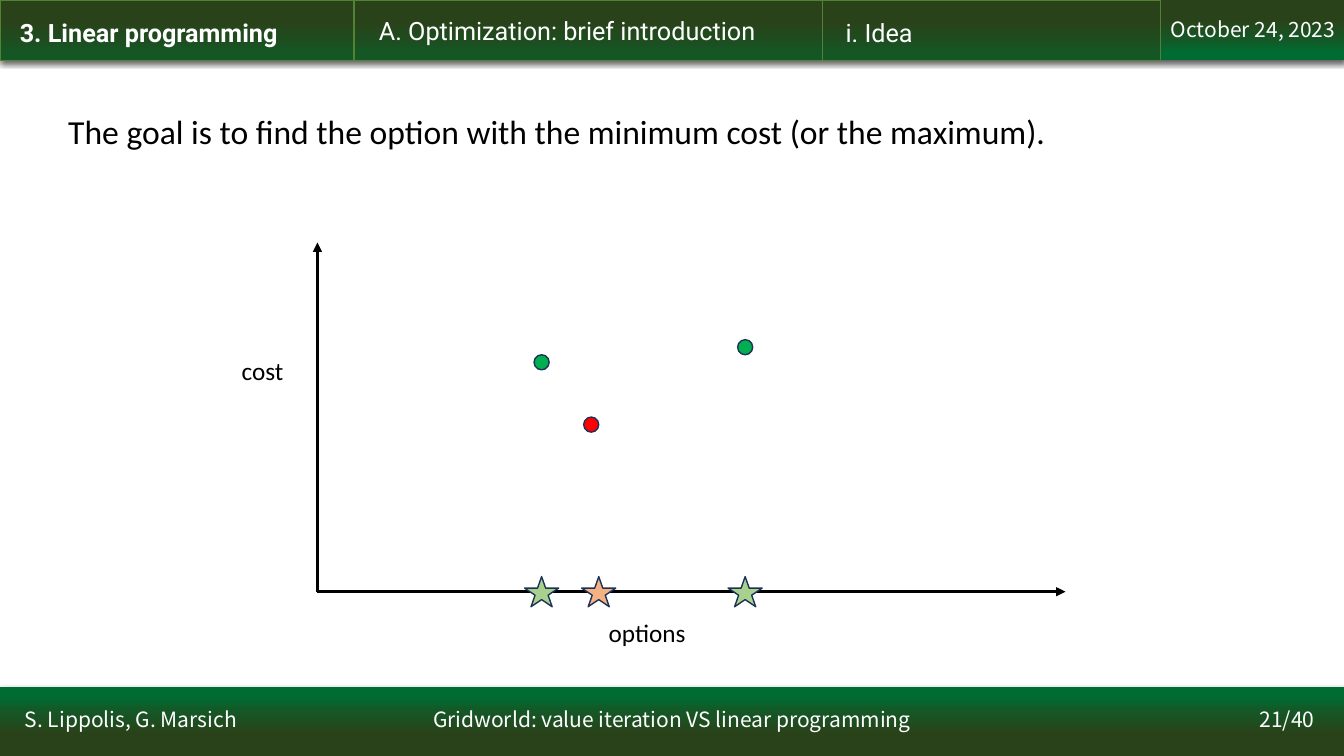
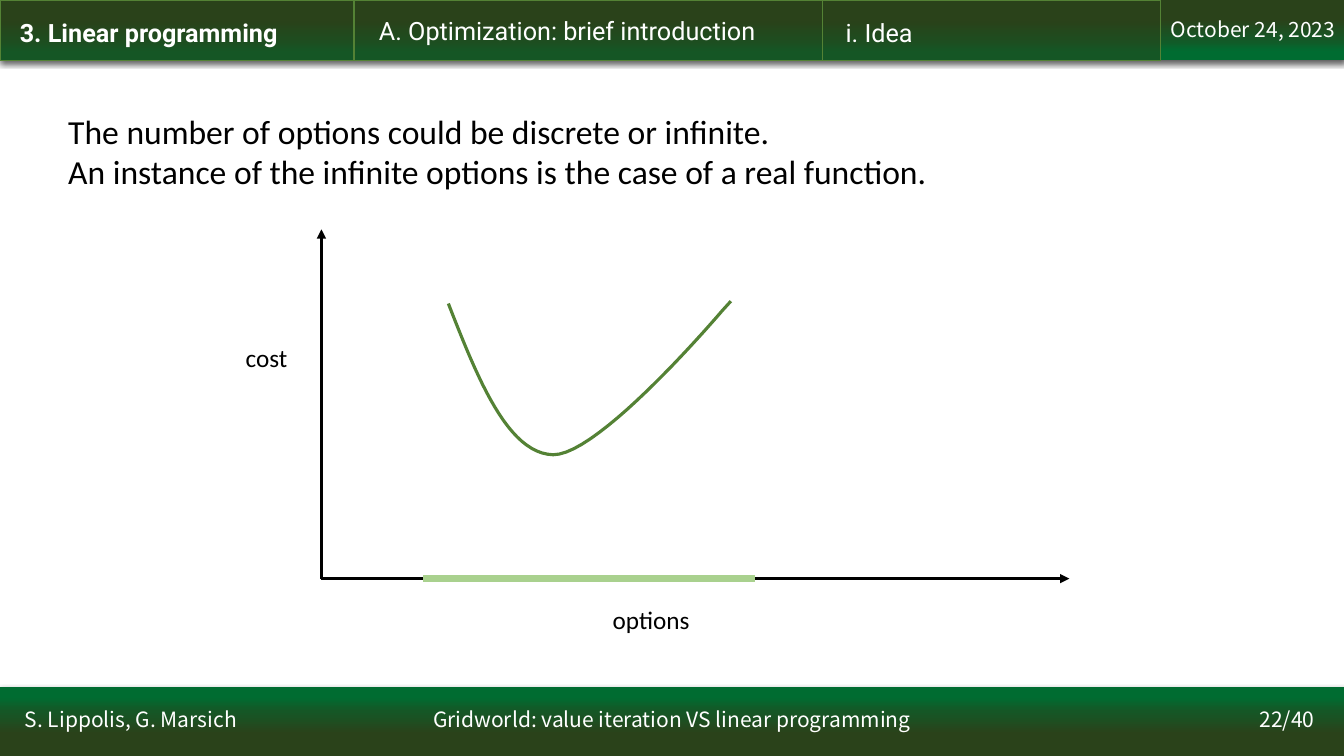
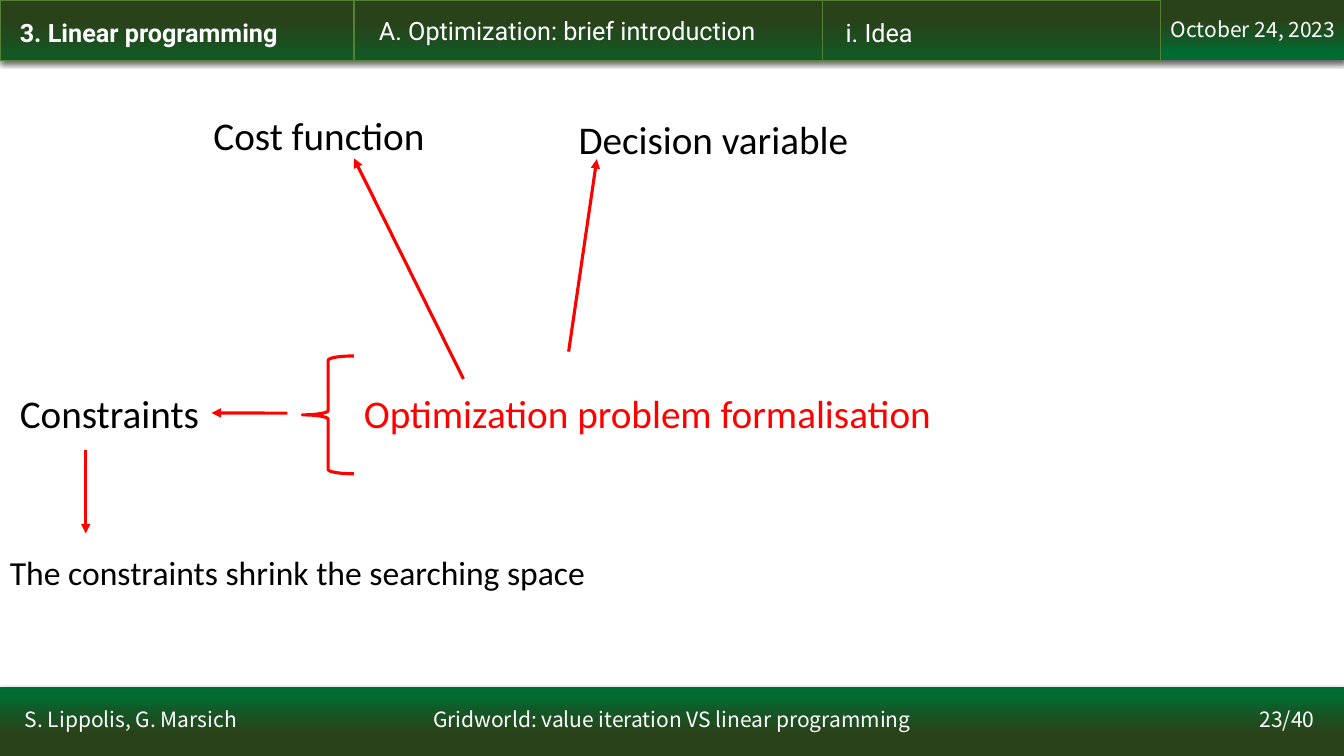
from lxml import etree
from pptx import Presentation
from pptx.dml.color import RGBColor
from pptx.enum import shapes, text
from pptx.oxml import parse_xml
from pptx.oxml.ns import nsdecls, qn
from pptx.util import Cm, Pt

WHITE = RGBColor(0xFF, 0xFF, 0xFF)
BLACK = RGBColor(0, 0, 0)
RED = RGBColor(0xFF, 0, 0)
GREEN = RGBColor(0, 0xB0, 0x50)
LIGHT_GREEN = RGBColor(0xA9, 0xD1, 0x8E)
LEAF = RGBColor(0x54, 0x82, 0x35)
ORANGE = RGBColor(0xF4, 0xB1, 0x83)
NAVY = RGBColor(0x1E, 0x32, 0x56)
BAND_GREEN = RGBColor(0, 0x6C, 0x31)
BAND_MID = RGBColor(0x15, 0x57, 0x26)
BAND_DARK = RGBColor(0x2A, 0x42, 0x1A)

BODY, BAND, TAB = "Calibri", "Noto Sans CJK JP", "Roboto"
SLIDE_W, SLIDE_H = 33.87, 19.05
HEADER_H, FOOTER_TOP, FOOTER_TEXT_TOP = 1.52, 17.32, 17.75
TAB_EDGES = (0, 8.92, 20.73, 29.24)
PAGE_COUNT = 40

SHAPE = shapes.MSO_SHAPE
CENTER = text.PP_ALIGN.CENTER


def add_text(slide, words, x, y, w, h, size=18, font=BODY, color=BLACK,
             bold=False, align=None, spacing=None, wrap=True):
    """Add a text box with one paragraph per line of words."""
    sp = slide.shapes.add_textbox(Cm(x), Cm(y), Cm(w), Cm(h))
    tf = sp.text_frame
    tf.word_wrap = wrap
    for i, line in enumerate(words.split("\n")):
        p = tf.add_paragraph() if i else tf.paragraphs[0]
        p.alignment = align
        p.line_spacing = spacing
        r = p.add_run()
        r.text = line
        r.font.name, r.font.size, r.font.bold = font, Pt(size), bold
        r.font.color.rgb = color
    return sp


def add_shape(slide, kind, x, y, w, h, fill=None, line=None, width=1):
    sp = slide.shapes.add_shape(kind, Cm(x), Cm(y), Cm(w), Cm(h))
    style(sp, fill, line, width)
    return sp


def style(sp, fill, line, width):
    sp.shadow.inherit = False
    if fill is None:
        sp.fill.background()
    else:
        sp.fill.solid()
        sp.fill.fore_color.rgb = fill
    if line is None:
        sp.line.fill.background()
    else:
        sp.line.color.rgb = line
        sp.line.width = Pt(width)


def add_line(slide, start, end, color, width=2.25, arrow=True):
    points = [Cm(v) for v in (*start, *end)]
    cn = slide.shapes.add_connector(shapes.MSO_CONNECTOR.STRAIGHT, *points)
    cn.line.color.rgb = color
    cn.line.width = Pt(width)
    if arrow:
        etree.SubElement(cn.line._get_or_add_ln(), qn("a:tailEnd"), type="triangle")
    etree.SubElement(cn._element.spPr, qn("a:effectLst"))
    return cn


def add_band(slide, y, h, angle):
    """Add a full-width gradient band with a soft shadow."""
    sp = add_shape(slide, SHAPE.RECTANGLE, 0, y, SLIDE_W, h)
    stops = "".join(
        f'<a:gs pos="{pos}000"><a:srgbClr val="{color}"/></a:gs>'
        for pos, color in ((14, BAND_GREEN), (35, BAND_MID), (68, BAND_DARK)))
    gradient = parse_xml(
        f'<a:gradFill {nsdecls("a")} rotWithShape="1"><a:gsLst>{stops}</a:gsLst>'
        f'<a:lin ang="{angle * 60000}" scaled="0"/></a:gradFill>')
    shadow = parse_xml(
        f'<a:outerShdw {nsdecls("a")} blurRad="57150" dist="19050" dir="5400000" '
        'algn="ctr" rotWithShape="0"><a:srgbClr val="000000">'
        '<a:alpha val="63000"/></a:srgbClr></a:outerShdw>')
    spPr = sp._element.spPr
    spPr.replace(spPr.find(qn("a:noFill")), gradient)
    spPr.find(qn("a:effectLst")).append(shadow)


def add_tab(slide, left, right):
    """Add a half-transparent header section."""
    sp = add_shape(slide, SHAPE.RECTANGLE, left, 0, right - left, HEADER_H,
                   fill=BAND_DARK, line=LEAF)
    color = sp._element.spPr.find(qn("a:solidFill"))[0]
    etree.SubElement(color, qn("a:alpha"), val="50000")


def new_slide(prs, page):
    """Add a slide with its header and footer."""
    slide = prs.slides.add_slide(prs.slide_layouts[6])
    add_band(slide, 0, HEADER_H, 270)
    add_band(slide, FOOTER_TOP, SLIDE_H - FOOTER_TOP, 90)
    for left, right in zip(TAB_EDGES, TAB_EDGES[1:]):
        add_tab(slide, left, right)

    tab = dict(font=TAB, color=WHITE)
    add_text(slide, "3. Linear programming", 0.25, 0.3, 8.18, 1.02, bold=True, **tab)
    add_text(slide, "A. Optimization: brief introduction", 9.3, 0.25, 11, 1.02, **tab)
    add_text(slide, "i. Idea", 21.06, 0.3, 7.75, 1.02, **tab)

    band = dict(size=15, font=BAND, color=WHITE)
    add_text(slide, "October 24, 2023", 29.26, 0.3, 5.61, 1.55, **band)
    band["spacing"] = 0.9
    add_text(slide, "Gridworld: value iteration VS linear programming",
             0, FOOTER_TEXT_TOP, SLIDE_W, 1.73, align=CENTER, **band)
    add_text(slide, "S. Lippolis, G. Marsich", 0.38, FOOTER_TEXT_TOP, 13.13, 1.42, **band)
    add_text(slide, f"{page}/{PAGE_COUNT}", 31.37, FOOTER_TEXT_TOP, 2.13, 1.73,
             align=CENTER, **band)
    return slide


def add_axes(slide, x, y):
    """Draw the cost and options axes from the origin (x, y)."""
    add_line(slide, (x, y), (x, y - 8.8), BLACK)
    add_line(slide, (x, y), (x + 18.85, y), BLACK)
    add_text(slide, "cost", x - 2.16, y - 6.08, 1.57, 1.02, wrap=False)
    add_text(slide, "options", x + 7.09, y + 0.52, 2.46, 1.02, wrap=False)


def add_marker(slide, kind, x, y, w, h, fill):
    """Add an outlined shape centred on (x, y)."""
    add_shape(slide, kind, x - w / 2, y - h / 2, w, h, fill=fill, line=NAVY)


def bezier(p0, p1, p2, p3, steps=24):
    """Return points along a cubic curve, without its start."""
    points = []
    for i in range(1, steps + 1):
        t = i / steps
        weights = ((1 - t) ** 3, 3 * t * (1 - t) ** 2, 3 * t * t * (1 - t), t ** 3)
        points.append(tuple(sum(k * p[axis] for k, p in zip(weights, (p0, p1, p2, p3)))
                            for axis in (0, 1)))
    return points


def add_cost_curve(slide):
    start, low, bend, end = (11.3, 7.65), (13.94, 11.46), (18.21, 7.82), (18.42, 7.59)
    points = bezier(start, (12.04, 9.55), (12.8, 11.43), low)
    points += bezier(low, (15.11, 11.48), bend, bend)
    points.append(end)
    builder = slide.shapes.build_freeform(Cm(start[0]), Cm(start[1]))
    builder.add_line_segments([(Cm(x), Cm(y)) for x, y in points], close=False)
    style(builder.convert_to_shape(), None, LEAF, 2.25)


def discrete_slide(prs):
    slide = new_slide(prs, 21)
    add_text(slide, "The goal is to find the option with the minimum cost (or the maximum).",
             1.47, 2.67, 29.44, 3.33, size=24)
    base = 14.91
    add_axes(slide, 8, base)
    for star_x, dot_x, dot_y, star_color, dot_color in (
            (13.65, 13.65, 9.13, LIGHT_GREEN, GREEN),
            (15.09, 14.9, 10.7, ORANGE, RED),
            (18.78, 18.78, 8.75, LIGHT_GREEN, GREEN)):
        add_marker(slide, SHAPE.STAR_5_POINT, star_x, base, 0.86, 0.76, star_color)
        add_marker(slide, SHAPE.OVAL, dot_x, dot_y, 0.38, 0.38, dot_color)


def infinite_slide(prs):
    slide = new_slide(prs, 22)
    add_text(slide, "The number of options could be discrete or infinite.\n"
             "An instance of the infinite options is the case of a real function.",
             1.47, 2.67, 29.44, 4.37, size=24)
    base = 14.58
    add_axes(slide, 8.1, base)
    add_line(slide, (10.67, base), (19.02, base), LIGHT_GREEN, width=4.5, arrow=False)
    add_cost_curve(slide)


def formalisation_slide(prs):
    slide = new_slide(prs, 23)
    label = dict(size=28, wrap=False)
    add_text(slide, "Decision variable", 14.33, 2.79, 7.37, 1.45, **label)
    add_text(slide, "Cost function", 5.13, 2.67, 5.89, 1.45, **label)
    constraints = add_text(slide, "Constraints", 0.25, 9.68, 5.08, 1.45, **label)
    add_text(slide, "The constraints shrink the searching space",
             0, 13.79, 15.52, 1.27, size=24, wrap=False)
    add_text(slide, "Optimization problem formalisation", 8.92, 9.68, 15.98, 1.45,
             size=28, color=RED)
    add_shape(slide, SHAPE.LEFT_BRACE, 7.62, 8.97, 1.3, 2.97, line=RED, width=2.25)
    add_line(slide, (2.16, 11.35), (2.16, 13.44), RED)
    add_line(slide, (14.33, 8.86), (15.04, 4.01), RED)
    add_line(slide, (11.68, 9.55), (8.92, 3.99), RED)
    add_line(slide, (7.24, 10.41), (5.33, 10.41), RED).end_connect(constraints, 3)


def main():
    prs = Presentation()
    prs.slide_width, prs.slide_height = Cm(SLIDE_W), Cm(SLIDE_H)
    discrete_slide(prs)
    infinite_slide(prs)
    formalisation_slide(prs)
    prs.save("out.pptx")


if __name__ == "__main__":
    main()
